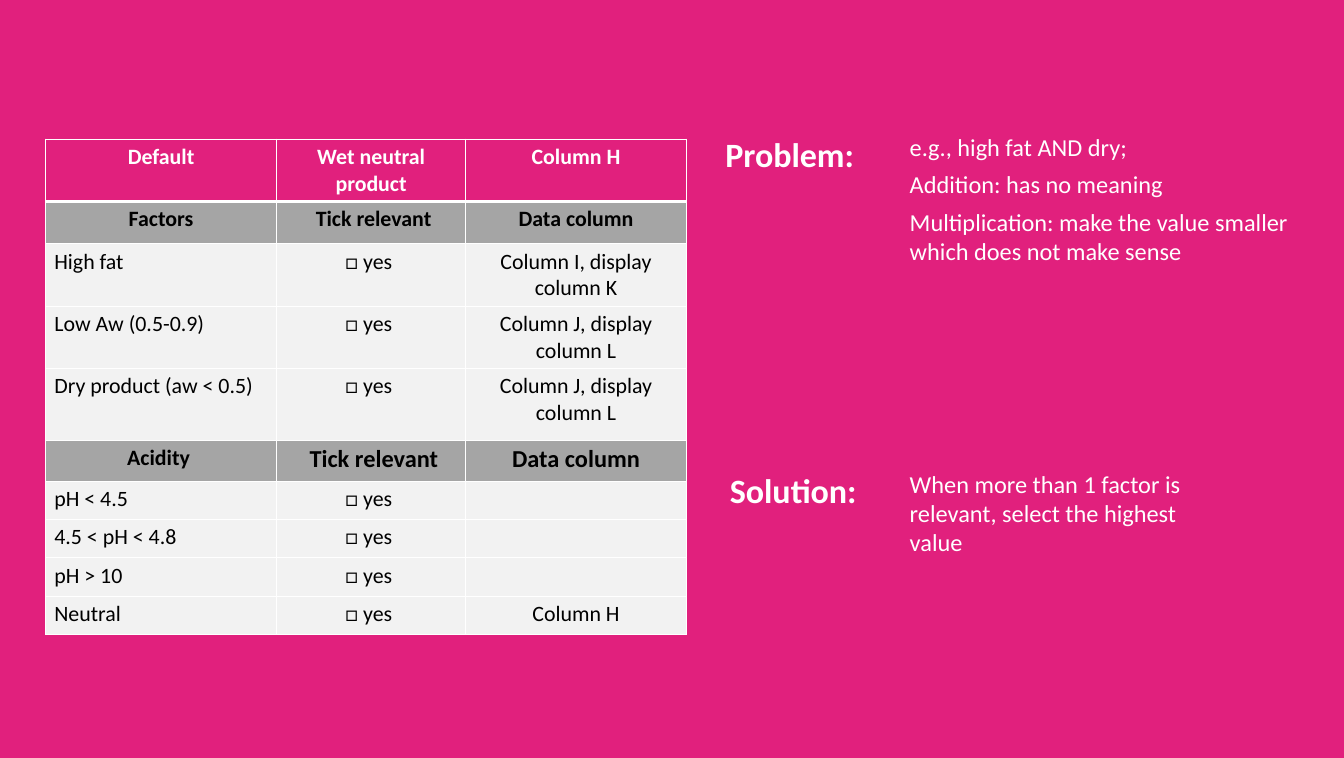
from dataclasses import dataclass
from pptx import Presentation
from pptx.dml.color import RGBColor as Color
from pptx.enum.shapes import MSO_SHAPE as Shape
from pptx.enum.text import MSO_ANCHOR as Anchor, MSO_AUTO_SIZE as AutoSize, PP_ALIGN as Align
from pptx.oxml import parse_xml
from pptx.oxml.ns import nsdecls
from pptx.util import Pt


@dataclass(frozen=True)
class Theme:
    font: str = "Calibri"
    pink: str = "E1207D"
    white: str = "FFFFFF"
    black: str = "000000"
    heading_gray: str = "A5A5A5"
    row_gray: str = "F2F2F2"
    cell_size: int = 18
    body_size: int = 20
    label_size: int = 28
    space_after: float = 6.9
    border: int = 1
    header_border: int = 3


THEME = Theme()
TICK = "□ yes "

# Each row: style, height, cell texts
FACTOR_ROWS = [
    ("header", 51, ["Default", "Wet neutral product", "Column H"]),
    ("heading", 35, ["Factors", " Tick relevant", "Data column"]),
    ("data", 51, ["High fat", TICK, "Column I, display column K"]),
    ("data", 51, ["Low Aw (0.5-0.9)", TICK, "Column J, display column L"]),
    ("data", 59, ["Dry product (aw < 0.5)", TICK, "Column J, display column L"]),
    ("heading", 34, ["Acidity ", " Tick relevant", "Data column"]),
    ("data", 31.5, ["pH < 4.5", TICK, ""]),
    ("data", 31.5, ["4.5 < pH < 4.8", TICK, ""]),
    ("data", 31.5, ["pH > 10", TICK, ""]),
    ("data", 31.5, ["Neutral", TICK, "Column H"]),
]
COLUMN_WIDTHS = [190, 155.5, 181.5]
ACIDITY_ROW = 5

# Fill, text colour and weight of each row style
ROW_STYLES = {
    "header": (THEME.pink, THEME.white, True),
    "heading": (THEME.heading_gray, THEME.black, True),
    "data": (THEME.row_gray, THEME.black, False),
}


def set_fill(fill, color):
    fill.solid()
    fill.fore_color.rgb = Color.from_string(color)


def format_para(para, size, color, bold=False, align=Align.LEFT):
    para.alignment = align
    para.font.size = Pt(size)
    for run in para.runs:
        run.font.name = THEME.font
        run.font.size = Pt(size)
        run.font.bold = bold
        run.font.color.rgb = Color.from_string(color)


def set_borders(cell, top, bottom):
    widths = {"lnL": THEME.border, "lnR": THEME.border, "lnT": top, "lnB": bottom}
    properties = cell._tc.get_or_add_tcPr()
    for position, (side, width) in enumerate(widths.items()):
        properties.insert(position, parse_xml(
            f'<a:{side} {nsdecls("a")} w="{Pt(width)}"><a:solidFill>'
            f'<a:srgbClr val="{THEME.white}"/></a:solidFill></a:{side}>'))


def add_factor_table(page, left, top):
    width, height = sum(COLUMN_WIDTHS), sum(row[1] for row in FACTOR_ROWS)
    table = page.shapes.add_table(len(FACTOR_ROWS), len(COLUMN_WIDTHS),
                                  Pt(left), Pt(top), Pt(width), Pt(height)).table
    for column, column_width in zip(table.columns, COLUMN_WIDTHS):
        column.width = Pt(column_width)
    for row_index, (style, row_height, texts) in enumerate(FACTOR_ROWS):
        table.rows[row_index].height = Pt(row_height)
        fill, color, bold = ROW_STYLES[style]
        for column_index, text in enumerate(texts):
            cell = table.cell(row_index, column_index)
            cell.text_frame.text = text
            set_fill(cell.fill, fill)
            set_borders(cell,
                        THEME.header_border if row_index == 1 else THEME.border,
                        THEME.header_border if row_index == 0 else THEME.border)
            larger = row_index == ACIDITY_ROW and column_index > 0
            left_aligned = style == "data" and column_index == 0
            format_para(cell.text_frame.paragraphs[0],
                        THEME.body_size if larger else THEME.cell_size, color, bold,
                        Align.LEFT if left_aligned else Align.CENTER)


def fill_text(box, text, size, bold=False, align=Align.LEFT):
    frame = box.text_frame
    frame.text = text
    frame.word_wrap = True
    frame.auto_size = AutoSize.SHAPE_TO_FIT_TEXT
    frame.vertical_anchor = Anchor.TOP
    for para in frame.paragraphs:
        para.space_after = Pt(THEME.space_after)
        format_para(para, size, THEME.white, bold, align)


def add_label(page, text, left, top, width):
    box = page.shapes.add_shape(Shape.RECTANGLE, Pt(left), Pt(top), Pt(width), Pt(41))
    box.shadow.inherit = False
    set_fill(box.fill, THEME.pink)
    box.line.fill.background()
    fill_text(box, text, THEME.label_size, True, Align.CENTER)


def add_body(page, text, top, width, height):
    box = page.shapes.add_textbox(Pt(741), Pt(top), Pt(width), Pt(height))
    fill_text(box, text, THEME.body_size)


def main():
    deck = Presentation()
    deck.slide_width, deck.slide_height = Pt(1105.2), Pt(623.5)
    page = deck.slides.add_slide(deck.slide_layouts[6])
    set_fill(page.background.fill, THEME.pink)

    # Factors and acidity
    add_factor_table(page, 37.5, 114.5)

    # Problem
    add_label(page, "Problem:", 584.6, 106.6, 129.6)
    add_body(page, "e.g., high fat AND dry;\nAddition: has no meaning\n"
             "Multiplication: make the value smaller which does not make sense",
             105, 364, 118)

    # Solution
    add_label(page, "Solution:", 592.5, 382.3, 119.5)
    add_body(page, "When more than 1 factor is relevant, select the highest value",
             382.3, 267, 80)

    deck.save("out.pptx")


if __name__ == "__main__":
    main()
